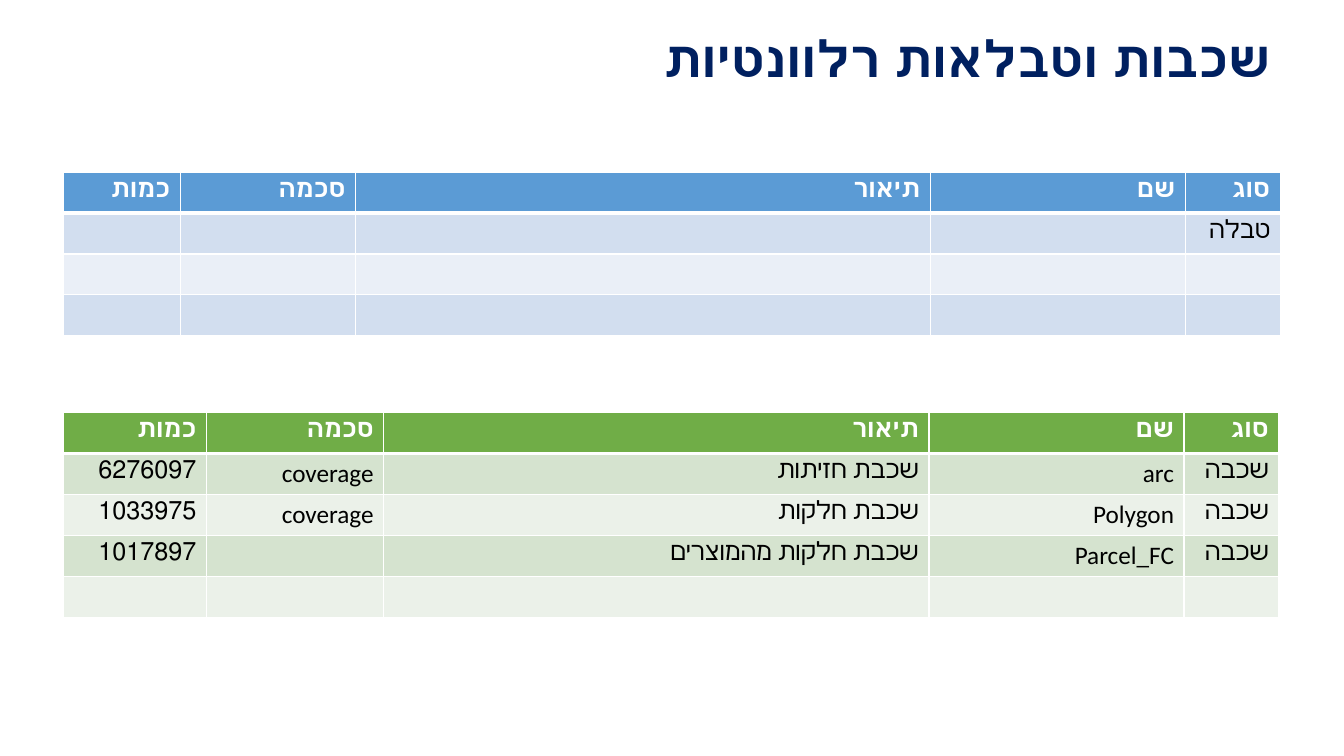
from pptx import Presentation
from pptx.dml.color import RGBColor as Rgb
from pptx.enum.text import MSO_ANCHOR as Anchor, PP_ALIGN as Align
from pptx.oxml import parse_xml
from pptx.oxml.ns import nsdecls
from pptx.util import Cm, Pt

COLORS = {
    "white": "FFFFFF",
    "black": "000000",
    "navy": "002060",
    "blue": "5B9BD5",
    "blue_bands": ("D2DEEF", "EAEFF7"),
    "green": "70AD47",
    "green_bands": ("D5E3CF", "EBF1E9"),
}
HEADINGS = ("כמות", "סכמה", "תיאור", "שם", "סוג")
EMPTY_ROW = ("",) * 5
TABLE_ROWS = [("", "", "", "", "טבלה"), EMPTY_ROW, EMPTY_ROW]
LAYER_ROWS = [
    ("6276097", "coverage", "שכבת חזיתות", "arc", "שכבה"),
    ("1033975", "coverage", "שכבת חלקות", "Polygon", "שכבה"),
    ("1017897", "", "שכבת חלקות מהמוצרים", "Parcel_FC", "שכבה"),
    EMPTY_ROW,
]


class SlideBuilder:
    """Draws right-to-left titles and banded tables on one slide."""

    font_name = "Calibri"
    left, width, row_height = 1.59, 30.68, 1.03

    def __init__(self, slide):
        self.slide = slide

    def label(self, frame, text, size, color, bold, rtl):
        frame.text = text
        para = frame.paragraphs[0]
        para.alignment = Align.RIGHT
        if rtl:
            para._p.get_or_add_pPr().set("rtl", "1")
        para.font.size = Pt(size)
        for span in para.runs:
            span.font.name = self.font_name
            span.font.size = Pt(size)
            span.font.bold = bold
            span.font.color.rgb = Rgb.from_string(color)
            span._r.get_or_add_rPr().set("lang", "he-IL")
        return para

    def title(self, text, top, height):
        box = self.slide.shapes.add_textbox(Cm(self.left), Cm(top), Cm(self.width), Cm(height))
        frame = box.text_frame
        frame.word_wrap = True
        frame.vertical_anchor = Anchor.MIDDLE
        para = self.label(frame, text, 36, COLORS["navy"], True, True)
        para.line_spacing = 0.9

    def border(self, cell, bottom_width):
        properties = cell._tc.get_or_add_tcPr()
        for index, side in enumerate("LRTB"):
            width = Pt(bottom_width if side == "B" else 1)
            properties.insert(index, parse_xml(
                f'<a:ln{side} {nsdecls("a")} w="{width}"><a:solidFill>'
                f'<a:srgbClr val="{COLORS["white"]}"/></a:solidFill></a:ln{side}>'))

    def table(self, top, column_widths, rows, hue):
        lines = [HEADINGS, *rows]
        grid = self.slide.shapes.add_table(
            len(lines), len(HEADINGS), Cm(self.left), Cm(top),
            Cm(self.width), Cm(self.row_height * len(lines))).table
        for column, width in zip(grid.columns, column_widths):
            column.width = Cm(width)
        for row_index, texts in enumerate(lines):
            grid.rows[row_index].height = Cm(self.row_height)
            header = row_index == 0
            fill = COLORS[hue] if header else COLORS[hue + "_bands"][(row_index - 1) % 2]
            color = COLORS["white" if header else "black"]
            for column_index, text in enumerate(texts):
                cell = grid.cell(row_index, column_index)
                rtl = not header and column_index < len(HEADINGS) - 1
                self.label(cell.text_frame, text, 18, color, header, rtl)
                cell.fill.solid()
                cell.fill.fore_color.rgb = Rgb.from_string(fill)
                self.border(cell, 3 if header else 1)


def main():
    deck = Presentation()
    deck.slide_width, deck.slide_height = Cm(33.87), Cm(19.05)
    page = SlideBuilder(deck.slides.add_slide(deck.slide_layouts[6]))
    page.table(4.34, (2.95, 4.42, 14.48, 6.43, 2.39), TABLE_ROWS, "blue")
    page.table(10.4, (3.61, 4.47, 13.74, 6.43, 2.39), LAYER_ROWS, "green")
    page.title("שכבות וטבלאות רלוונטיות", 0.69, 1.73)
    deck.save("out.pptx")


if __name__ == "__main__":
    main()
